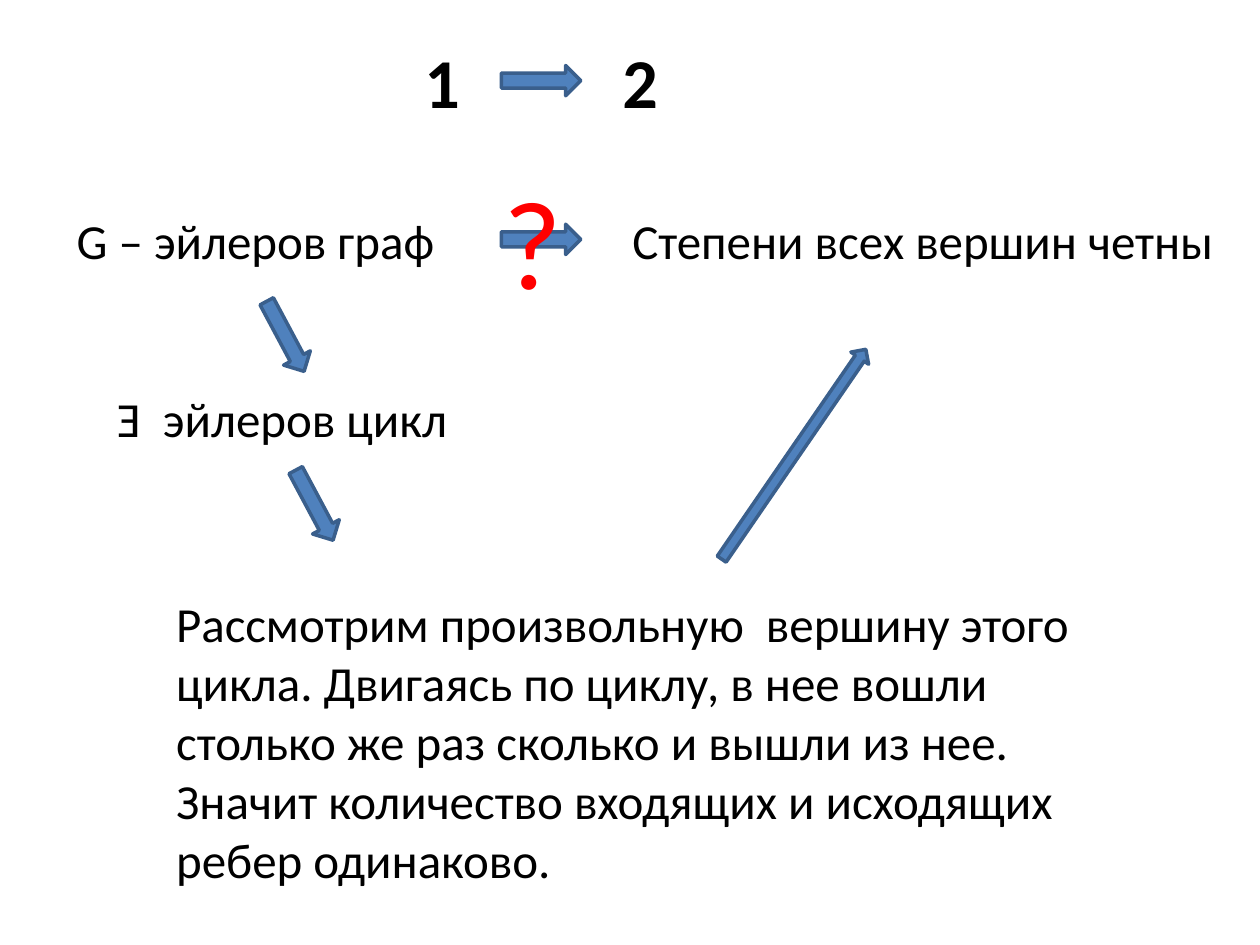
from pptx import Presentation
from pptx.dml.color import RGBColor
from pptx.enum.shapes import MSO_SHAPE
from pptx.enum.text import MSO_ANCHOR
from pptx.util import Inches, Pt

RIGHT_ARROW = MSO_SHAPE.RIGHT_ARROW
MIDDLE = MSO_ANCHOR.MIDDLE

BLACK, RED, BLUE, DARK_BLUE = "000000", "FF0000", "4F81BD", "3A5F8C"
FONT = "Calibri"
SHORT_ARROW = (0.63, 0.24)
LONG_ARROW = (2.02, 0.17)

ARROWS = [
    ((3.98, 0.52), SHORT_ARROW, 0),
    ((3.98, 1.78), SHORT_ARROW, 0),
    ((1.95, 2.55), SHORT_ARROW, 61.9),
    ((2.18, 3.89), SHORT_ARROW, 61.9),
    ((5.29, 3.52), LONG_ARROW, 304.5),
]

PROOF = (
    "Рассмотрим произвольную  вершину этого цикла. "
    "Двигаясь по циклу, в нее вошли столько же раз сколько и вышли из нее. "
    "Значит количество входящих и исходящих ребер одинаково."
)

TEXTS = [
    ("1", (3.27, 0.13, 0.47, 1.02), 40, BLACK, True),
    ("2", (4.84, 0.13, 0.39, 1.02), 40, BLACK, True),
    ("G – эйлеров граф", (0.51, 1.39, 3.31, 1.02), 28, BLACK, False),
    ("Степени всех вершин четны", (4.92, 1.39, 4.96, 1.02), 28, BLACK, False),
    ("Ǝ  эйлеров цикл", (0.83, 2.81, 2.83, 1.02), 28, BLACK, False),
    (PROOF, (1.3, 4.62, 7.72, 2.52), 28, BLACK, False),
    ("?", (3.9, 1.07, 0.79, 1.65), 72, RED, False),
]


def color(value):
    return RGBColor.from_string(value)


def add_arrow(s, pos, size, angle):
    sp = s.shapes.add_shape(RIGHT_ARROW, *map(Inches, pos + size))
    sp.rotation = angle
    sp.shadow.inherit = False
    sp.fill.solid()
    sp.fill.fore_color.rgb = color(BLUE)
    sp.line.color.rgb = color(DARK_BLUE)
    sp.line.width = Pt(2)


def add_text(s, text, box, size, ink, bold):
    tf = s.shapes.add_textbox(*map(Inches, box)).text_frame
    tf.word_wrap = True
    tf.vertical_anchor = MIDDLE
    p = tf.paragraphs[0]
    p.text = text
    p.font.name = FONT
    p.font.size = Pt(size)
    p.font.bold = bold
    p.font.color.rgb = color(ink)


def main():
    prs = Presentation()
    prs.slide_width, prs.slide_height = Inches(10), Inches(7.5)
    s = prs.slides.add_slide(prs.slide_layouts[6])
    for arrow in ARROWS:
        add_arrow(s, *arrow)
    for text in TEXTS:
        add_text(s, *text)
    prs.save("out.pptx")


if __name__ == "__main__":
    main()
